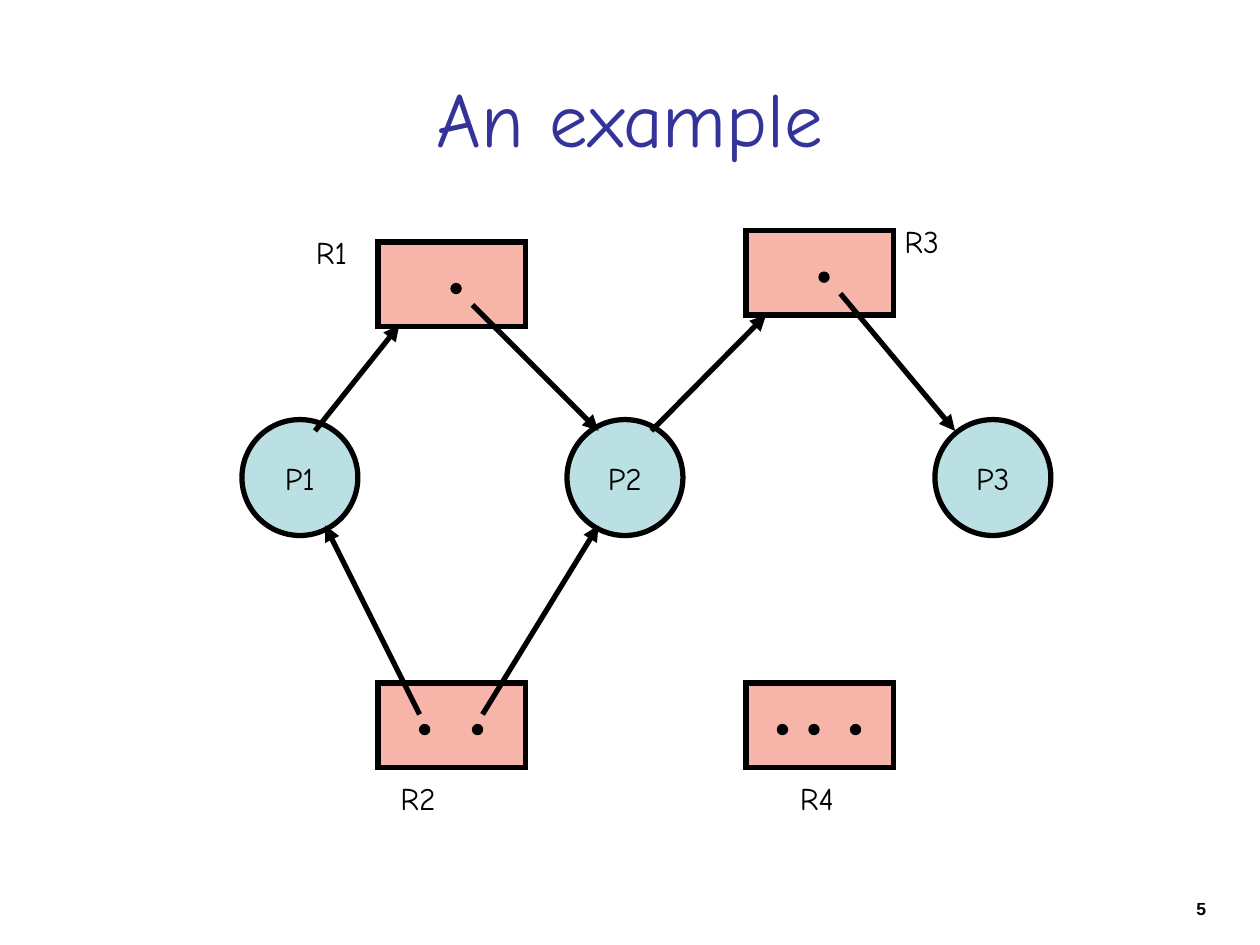
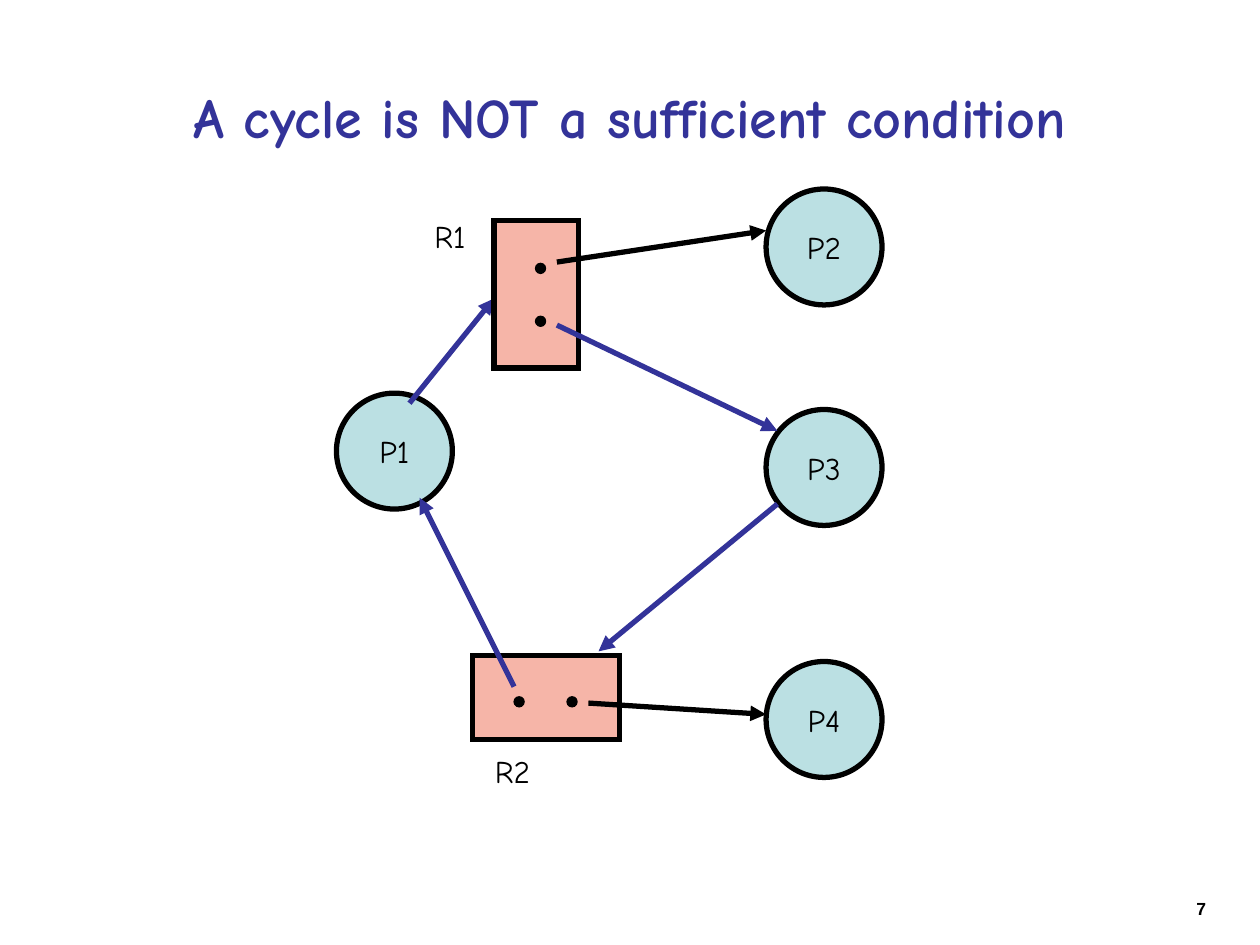
from pptx import Presentation
from pptx.dml.color import RGBColor
from pptx.enum import shapes, text
from pptx.oxml import ns
from pptx.util import Inches, Pt
from lxml import etree

BLACK = RGBColor(0x00, 0x00, 0x00)
INDIGO = RGBColor(0x33, 0x33, 0x99)
PROCESS_BLUE = RGBColor(0xBB, 0xE0, 0xE3)
RESOURCE_PINK = RGBColor(0xF6, 0xB5, 0xA8)
HAND_FONT = "Comic Neue"
NUMBER_FONT = "Arial"

PROCESS_SIZE = 0.92
RESOURCE_WIDTH, RESOURCE_HEIGHT = 1.17, 0.67
LABEL_WIDTH, LABEL_HEIGHT = 0.5, 0.4
DOT_SIZE, DOT_TOP = 0.08, 0.33
HEAVY, THIN = 3, 0.75
ONE_UNIT = (0.58,)
TWO_UNITS = (0.33, 0.75)
THREE_UNITS = (0.25, 0.5, 0.83)


def write_text(shape, words, size=18, font=HAND_FONT, color=BLACK, bold=False,
               align=text.PP_ALIGN.LEFT, anchor=text.MSO_ANCHOR.TOP, wrap=False):
    frame = shape.text_frame
    frame.word_wrap = wrap
    frame.vertical_anchor = anchor
    para = frame.paragraphs[0]
    para.alignment = align
    span = para.add_run()
    span.text = words
    span.font.size = Pt(size)
    span.font.name = font
    span.font.bold = bold
    span.font.color.rgb = color


def add_text(page, box, words, **style):
    write_text(page.shapes.add_textbox(*map(Inches, box)), words, **style)


def add_outlined(page, kind, box, fill, weight=HEAVY):
    shape = page.shapes.add_shape(kind, *map(Inches, box))
    shape.shadow.inherit = False
    shape.fill.solid()
    shape.fill.fore_color.rgb = fill
    shape.line.color.rgb = BLACK
    shape.line.width = Pt(weight)
    etree.SubElement(shape.line._get_or_add_ln(), ns.qn("a:miter"), lim="800000")
    return shape


def add_process(page, name, left, top):
    circle = add_outlined(page, shapes.MSO_SHAPE.OVAL,
                          (left, top, PROCESS_SIZE, PROCESS_SIZE), PROCESS_BLUE)
    write_text(circle, name, align=text.PP_ALIGN.CENTER,
               anchor=text.MSO_ANCHOR.MIDDLE)


def add_resource(page, name, left, top, units, label, upright=False):
    block = add_outlined(page, shapes.MSO_SHAPE.RECTANGLE,
                         (left, top, RESOURCE_WIDTH, RESOURCE_HEIGHT), RESOURCE_PINK)
    block.rotation = 270 if upright else 0
    middle_x, middle_y = left + RESOURCE_WIDTH / 2, top + RESOURCE_HEIGHT / 2
    for unit in units:
        across = unit + (DOT_SIZE - RESOURCE_WIDTH) / 2
        down = DOT_TOP + (DOT_SIZE - RESOURCE_HEIGHT) / 2
        if upright:
            across, down = down, -across
        add_outlined(page, shapes.MSO_SHAPE.OVAL,
                     (middle_x + across - DOT_SIZE / 2, middle_y + down - DOT_SIZE / 2,
                      DOT_SIZE, DOT_SIZE), BLACK, THIN)
    add_text(page, (*label, LABEL_WIDTH, LABEL_HEIGHT), name, wrap=True)


def add_arrow(page, start, end, color=BLACK):
    arrow = page.shapes.add_connector(shapes.MSO_CONNECTOR.STRAIGHT,
                                      *map(Inches, (*start, *end)))
    arrow.line.color.rgb = color
    arrow.line.width = Pt(HEAVY)
    etree.SubElement(arrow.line._get_or_add_ln(), ns.qn("a:tailEnd"), type="triangle")
    etree.SubElement(arrow._element.spPr, ns.qn("a:effectLst"))


def add_page(deck, title, number, **title_style):
    page = deck.slides.add_slide(deck.slide_layouts[6])
    add_text(page, (7.25, 7.08, 2.42, 0.25), str(number), size=10, font=NUMBER_FONT,
             bold=True, align=text.PP_ALIGN.RIGHT, wrap=True)
    add_text(page, (0.5, 0.3, 9, 1.25), title, color=INDIGO, wrap=True,
             align=text.PP_ALIGN.CENTER, anchor=text.MSO_ANCHOR.MIDDLE, **title_style)
    return page


def build_example(deck):
    page = add_page(deck, "An example", 5, size=44)
    for name, left in (("P1", 1.92), ("P2", 4.5), ("P3", 7.42)):
        add_process(page, name, left, 3.33)
    add_resource(page, "R1", 3, 1.92, ONE_UNIT, (2.41, 1.8))
    add_resource(page, "R3", 5.92, 1.83, ONE_UNIT, (7.08, 1.71))
    add_resource(page, "R2", 3, 5.42, TWO_UNITS, (3.08, 6.13))
    add_resource(page, "R4", 5.92, 5.42, THREE_UNITS, (6.25, 6.13))
    for start, end in (
        ((2.5, 3.42), (3.17, 2.58)),
        ((3.75, 2.42), (4.75, 3.42)),
        ((5.17, 3.42), (6.08, 2.5)),
        ((6.67, 2.33), (7.58, 3.42)),
        ((3.83, 5.67), (4.75, 4.17)),
        ((3.33, 5.67), (2.58, 4.17)),
    ):
        add_arrow(page, start, end)


def build_cycle(deck):
    page = add_page(deck, "A cycle is NOT a sufficient condition", 7,
                    size=32, bold=True)
    add_process(page, "P1", 2.67, 3.12)
    for name, top in (("P2", 1.5), ("P3", 3.25), ("P4", 5.25)):
        add_process(page, name, 6.08, top)
    add_resource(page, "R2", 3.75, 5.2, TWO_UNITS, (3.83, 5.92))
    add_arrow(page, (3.25, 3.2), (3.92, 2.37), INDIGO)
    add_arrow(page, (4.08, 5.45), (3.33, 3.95), INDIGO)
    add_resource(page, "R1", 3.67, 2, TWO_UNITS, (3.35, 1.67), upright=True)
    add_arrow(page, (4.42, 2.08), (6.08, 1.83))
    add_arrow(page, (4.42, 2.58), (6.17, 3.42), INDIGO)
    add_arrow(page, (6.17, 4), (4.75, 5.17), INDIGO)
    add_arrow(page, (4.67, 5.58), (6.08, 5.67))


deck = Presentation()
deck.slide_width, deck.slide_height = Inches(10), Inches(7.5)
build_example(deck)
build_cycle(deck)
deck.save("out.pptx")
